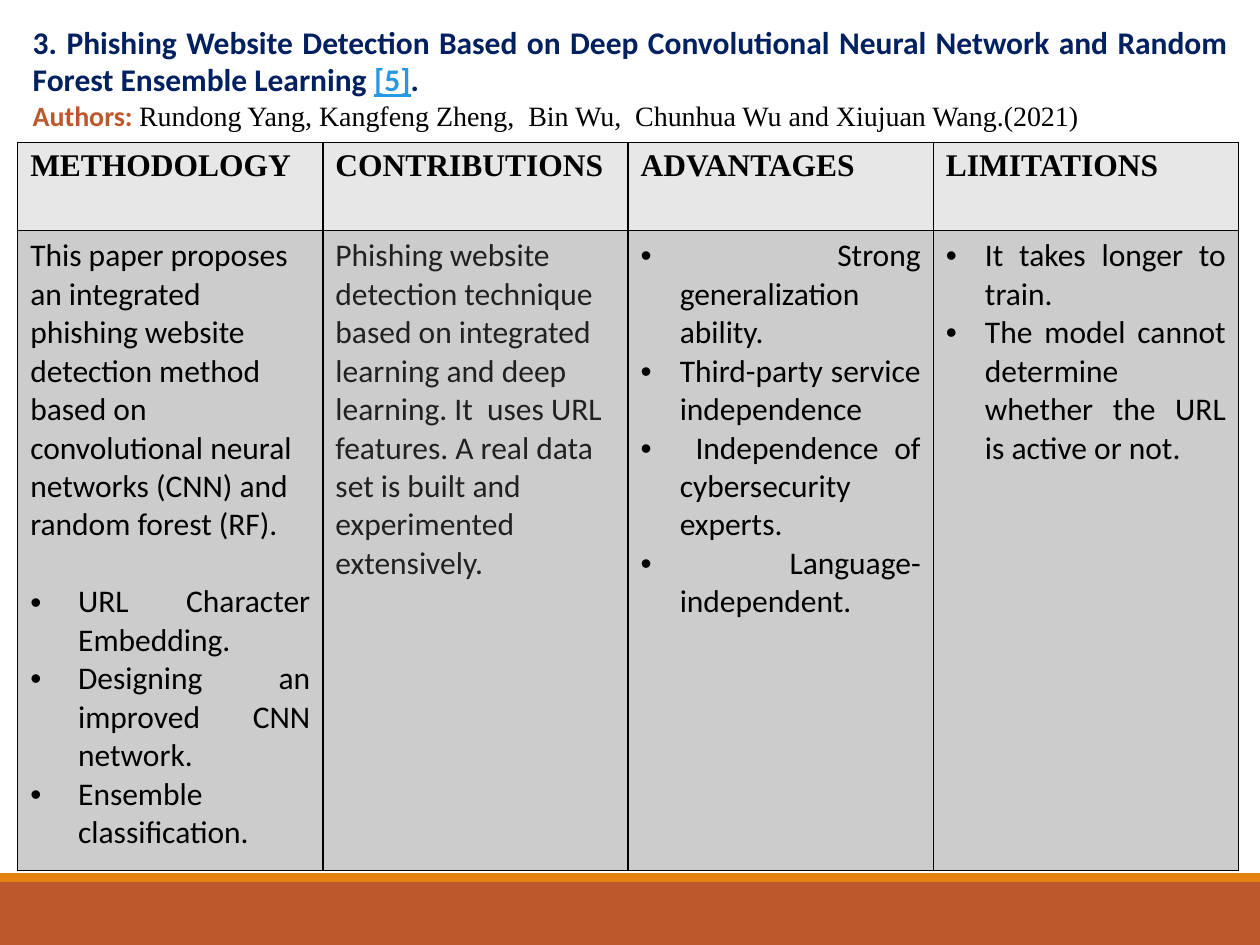
from lxml import etree
from pptx import Presentation
from pptx.dml.color import RGBColor
from pptx.enum.shapes import MSO_SHAPE
from pptx.enum.text import MSO_ANCHOR, MSO_AUTO_SIZE, PP_ALIGN
from pptx.oxml.ns import qn
from pptx.util import Inches, Pt

RECTANGLE = MSO_SHAPE.RECTANGLE
TOP = MSO_ANCHOR.TOP
FIXED = MSO_AUTO_SIZE.NONE
LEFT = PP_ALIGN.LEFT
JUSTIFY = PP_ALIGN.JUSTIFY

BLACK = RGBColor(0x00, 0x00, 0x00)
NAVY = RGBColor(0x00, 0x20, 0x60)
LINK_BLUE = RGBColor(0x29, 0x98, 0xE3)
RUST = RGBColor(0xBD, 0x58, 0x2C)
ORANGE = RGBColor(0xE4, 0x83, 0x12)
CHARCOAL = RGBColor(0x21, 0x21, 0x21)
HEADER_GRAY = RGBColor(0xE7, 0xE7, 0xE7)
BODY_GRAY = RGBColor(0xCC, 0xCC, 0xCC)

SANS = "Calibri"
SERIF = "Times New Roman"

HEADING = [
    [
        ("3. Phishing Website Detection Based on Deep Convolutional Neural Network "
         "and Random Forest Ensemble Learning ", {"color": NAVY, "bold": True}),
        ("[5]", {"color": LINK_BLUE, "bold": True, "underline": True}),
        (".", {"color": NAVY, "bold": True}),
    ],
    [
        ("Authors: ", {"size": Pt(16), "color": RUST, "bold": True}),
        ("Rundong Yang, Kangfeng Zheng,  Bin Wu,  Chunhua Wu and Xiujuan Wang.(2021)",
         {"size": Pt(16), "name": SERIF}),
    ],
]

COLUMNS = [
    {
        "header": "METHODOLOGY",
        "intro": "This paper proposes an integrated phishing website detection method "
                 "based on convolutional neural networks (CNN) and random forest (RF).",
        "bullets": ["URL Character Embedding.", "Designing an improved CNN network.",
                    "Ensemble classification."],
        "indent": Inches(0.38),
    },
    {
        "header": "CONTRIBUTIONS",
        "intro": "Phishing website detection technique based on integrated learning and "
                 "deep learning. It  uses URL features. A real data set is built and "
                 "experimented extensively.",
        "color": CHARCOAL,
    },
    {
        "header": "ADVANTAGES",
        "bullets": [" Strong generalization ability.", "Third-party service independence",
                    " Independence of cybersecurity experts.", " Language-independent."],
        "indent": Inches(0.31),
    },
    {
        "header": "LIMITATIONS",
        "bullets": ["It takes longer to train.",
                    "The model cannot determine whether the URL is active or not."],
        "indent": Inches(0.31),
    },
]


class SlideBuilder:
    text_format = {"name": SANS, "size": Pt(18), "bold": False, "underline": False}
    border_width = Pt(1)
    intro_gap = Pt(22)

    def __init__(self, slide):
        self.slide = slide

    def add_run(self, paragraph, text, color=BLACK, **changes):
        run = paragraph.add_run()
        run.text = text
        for attribute, value in {**self.text_format, **changes}.items():
            setattr(run.font, attribute, value)
        run.font.color.rgb = color

    def add_band(self, top, height, color):
        band = self.slide.shapes.add_shape(
            RECTANGLE, Inches(0), Inches(top), Inches(10), Inches(height))
        band.shadow.inherit = False
        band.fill.solid()
        band.fill.fore_color.rgb = color
        band.line.fill.background()

    def set_heading(self, paragraphs):
        title = self.slide.shapes.title
        placement = {"left": Inches(0.16), "top": Inches(0.13),
                     "width": Inches(9.69), "height": Inches(1.31)}
        for attribute, value in placement.items():
            setattr(title, attribute, value)
        frame = title.text_frame
        frame.auto_size = FIXED
        frame.vertical_anchor = TOP
        for index, runs in enumerate(paragraphs):
            paragraph = frame.add_paragraph() if index else frame.paragraphs[0]
            paragraph.alignment = JUSTIFY
            for text, changes in runs:
                self.add_run(paragraph, text, **changes)

    def set_bullet(self, paragraph, indent):
        paragraph.alignment = JUSTIFY
        properties = paragraph._p.get_or_add_pPr()
        properties.set("marL", str(indent))
        properties.set("indent", str(-indent))
        etree.SubElement(properties, qn("a:buFont")).set("typeface", "Arial")
        etree.SubElement(properties, qn("a:buChar")).set("char", "•")

    def set_borders(self, cell):
        properties = cell._tc.get_or_add_tcPr()
        for position, side in enumerate(("lnL", "lnR", "lnT", "lnB")):
            line = etree.Element(qn(f"a:{side}"), w=str(self.border_width))
            fill = etree.SubElement(line, qn("a:solidFill"))
            etree.SubElement(fill, qn("a:srgbClr")).set("val", str(BLACK))
            properties.insert(position, line)

    def style_cell(self, cell, color):
        cell.fill.solid()
        cell.fill.fore_color.rgb = color
        self.set_borders(cell)

    def fill_body(self, cell, intro=None, bullets=(), indent=0, color=BLACK):
        texts = ([intro] if intro else []) + list(bullets)
        frame = cell.text_frame
        for index, text in enumerate(texts):
            paragraph = frame.add_paragraph() if index else frame.paragraphs[0]
            if text == intro:
                paragraph.alignment = LEFT
                if bullets:
                    paragraph.space_after = self.intro_gap
            else:
                self.set_bullet(paragraph, indent)
            self.add_run(paragraph, text, color)

    def add_table(self, columns):
        table = self.slide.shapes.add_table(
            2, len(columns), Inches(0.14), Inches(1.13), Inches(9.69), Inches(5.78)).table
        for row, height in zip(table.rows, (0.7, 5.08)):
            row.height = Inches(height)
        for index, column in enumerate(columns):
            header, body = table.cell(0, index), table.cell(1, index)
            self.style_cell(header, HEADER_GRAY)
            self.style_cell(body, BODY_GRAY)
            self.add_run(header.text_frame.paragraphs[0], column["header"],
                         name=SERIF, bold=True)
            content = {key: value for key, value in column.items() if key != "header"}
            self.fill_body(body, **content)


def main():
    presentation = Presentation()
    presentation.slide_width = Inches(10)
    presentation.slide_height = Inches(7.5)
    slide = presentation.slides.add_slide(presentation.slide_layouts[5])
    builder = SlideBuilder(slide)
    builder.add_band(7, 0.5, RUST)
    builder.add_band(6.93, 0.07, ORANGE)
    builder.set_heading(HEADING)
    builder.add_table(COLUMNS)
    presentation.save("out.pptx")


if __name__ == "__main__":
    main()
